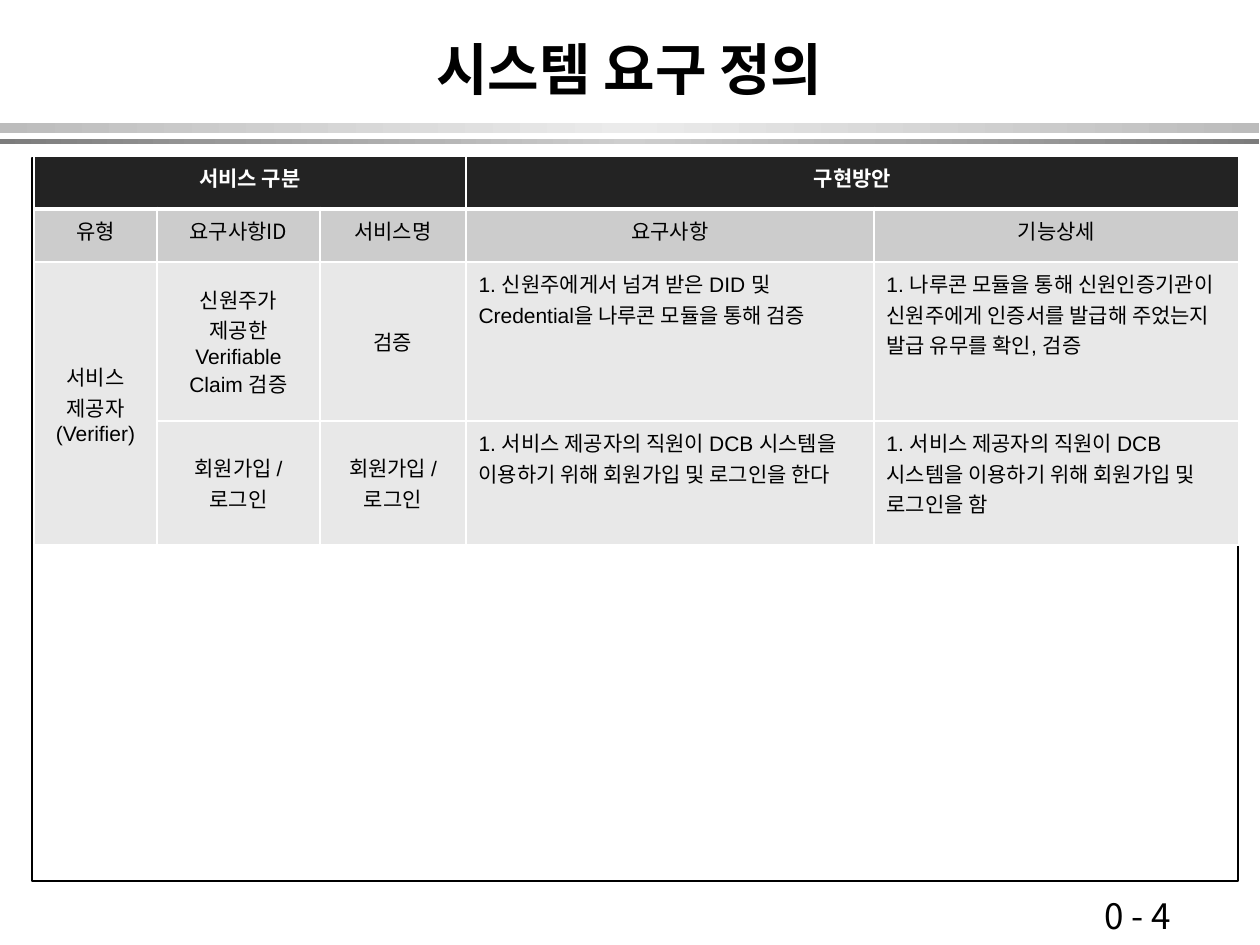
"""Build the system requirements slide: title, twin rules, frame and table."""
from copy import deepcopy
from lxml import etree
from pptx import Presentation, util as u
from pptx.dml.color import RGBColor
from pptx.enum import shapes, text
from pptx.oxml.ns import qn

PX = 914400 / 126
BLACK = RGBColor(0, 0, 0)
WHITE = RGBColor(255, 255, 255)
DARK = RGBColor(0x23, 0x23, 0x23)
MID = RGBColor(0xCC, 0xCC, 0xCC)
PALE = RGBColor(0xE8, 0xE8, 0xE8)
RULES = [
    ((0, 123, 1259, 10), RGBColor(0xBC, 0xBC, 0xBC), RGBColor(0xEB, 0xEB, 0xEB)),
    ((0, 139, 1259, 5), RGBColor(0x7C, 0x7C, 0x7C), RGBColor(0xCE, 0xCE, 0xCE)),
]
FRAME = (32, 158, 1206, 723)
SANS, ARIAL = "Noto Sans CJK KR", "Arial"
MID_ROW, TOP_ROW = text.MSO_ANCHOR.MIDDLE, text.MSO_ANCHOR.TOP
CENTER, LEFT = text.PP_ALIGN.CENTER, text.PP_ALIGN.LEFT

LABELS = [
    ("시스템 요구 정의", (94, 21, 1071, 94), 32, True, CENTER, MID_ROW),
    ("0 - 4", (1092, 888, 147, 97), 20, False, LEFT, TOP_ROW),
]
COLS = [123, 163, 146, 408, 365]
ROWS = [53, 53, 159, 124]
ORIGIN = (34, 156)
CELLS = [
    ["서비스 구분", None, None, "구현방안", None],
    ["유형", "요구사항ID", "서비스명", "요구사항", "기능상세"],
    ["서비스\n제공자\n(Verifier)", "신원주가 제공한 Verifiable Claim 검증", "검증",
     "1. 신원주에게서 넘겨 받은 DID 및 Credential을 나루콘 모듈을 통해 검증",
     "1. 나루콘 모듈을 통해 신원인증기관이 신원주에게 인증서를 발급해 주었는지 발급 유무를 확인, 검증"],
    [None, "회원가입 / 로그인", "회원가입 / 로그인",
     "1. 서비스 제공자의 직원이 DCB 시스템을 이용하기 위해 회원가입 및 로그인을 한다",
     "1. 서비스 제공자의 직원이 DCB 시스템을 이용하기 위해 회원가입 및 로그인을 함"],
]
SPANS = [((0, 0), (0, 2)), ((0, 3), (0, 4)), ((2, 0), (3, 0))]
FILLS = [DARK, MID, PALE, PALE]


def emu(*vals):
    return [u.Emu(round(v * PX)) for v in vals]


def style(frame, size, face, ink, bold, align):
    for para in frame.paragraphs:
        para.alignment = align
        for run in para.runs:
            font = run.font
            font.size, font.name, font.bold = u.Pt(size), face, bold
            font.color.rgb = ink
            east = etree.SubElement(run._r.get_or_add_rPr(), qn("a:ea"))
            east.set("typeface", SANS)


def box(slide, area):
    shape = slide.shapes.add_shape(shapes.MSO_SHAPE.RECTANGLE, *emu(*area))
    shape.shadow.inherit = False
    return shape


def rule(slide, area, edge, core):
    shape = box(slide, area)
    shape.line.fill.background()
    fill = shape.fill
    fill.gradient()
    fill.gradient_angle = 0
    stops = fill._fill._gradFill.find(qn("a:gsLst"))
    stops.insert(1, deepcopy(stops[0]))
    for stop, pos, hue in zip(fill.gradient_stops, (0, 0.5, 1), (edge, core, edge)):
        stop.position, stop.color.rgb = pos, hue


def label(slide, words, area, size, bold, align, anchor):
    frame = slide.shapes.add_textbox(*emu(*area)).text_frame
    frame.word_wrap = True
    frame.vertical_anchor = anchor
    frame.text = words
    style(frame, size, SANS, BLACK, bold, align)


def border(cell, row):
    props = cell._tc.get_or_add_tcPr()
    for side in "LRTB":
        thick = (row, side) in [(0, "B"), (1, "T")]
        line = etree.SubElement(props, qn("a:ln" + side), w=str(u.Pt(3 if thick else 1)))
        solid = etree.SubElement(line, qn("a:solidFill"))
        etree.SubElement(solid, qn("a:srgbClr"), val=str(WHITE))


def grid(slide):
    area = emu(*ORIGIN, sum(COLS), sum(ROWS))
    table = slide.shapes.add_table(len(ROWS), len(COLS), *area).table
    for col, wide in zip(table.columns, emu(*COLS)):
        col.width = wide
    for row, high in zip(table.rows, emu(*ROWS)):
        row.height = high
    for start, end in SPANS:
        table.cell(*start).merge(table.cell(*end))
    for r, line in enumerate(CELLS):
        head = r < 2
        for c, words in enumerate(line):
            cell = table.cell(r, c)
            border(cell, r)
            cell.fill.solid()
            cell.fill.fore_color.rgb = FILLS[r]
            if words is None:
                continue
            cell.text = words
            cell.vertical_anchor = TOP_ROW if head or c > 2 else MID_ROW
            style(cell.text_frame, 12, SANS if head else ARIAL,
                  BLACK if r else WHITE, r == 0, CENTER if head or c < 3 else LEFT)


def main():
    deck = Presentation()
    deck.slide_width, deck.slide_height = emu(1260, 945)
    slide = deck.slides.add_slide(deck.slide_layouts[6])
    for spec in RULES:
        rule(slide, *spec)
    frame = box(slide, FRAME)
    frame.fill.background()
    frame.line.color.rgb, frame.line.width = BLACK, u.Pt(1)
    for spec in LABELS:
        label(slide, *spec)
    grid(slide)
    deck.save("out.pptx")


if __name__ == "__main__":
    main()
